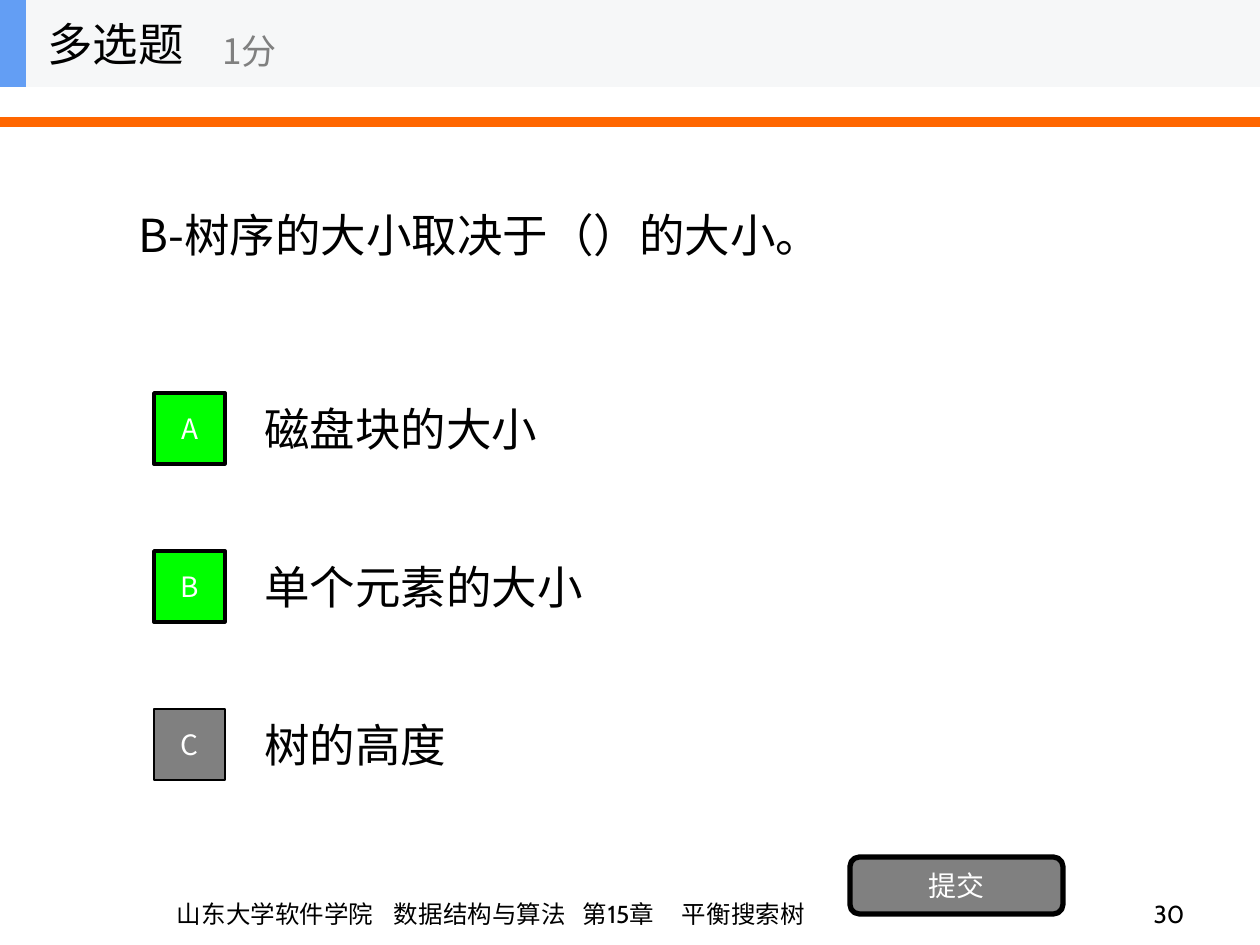
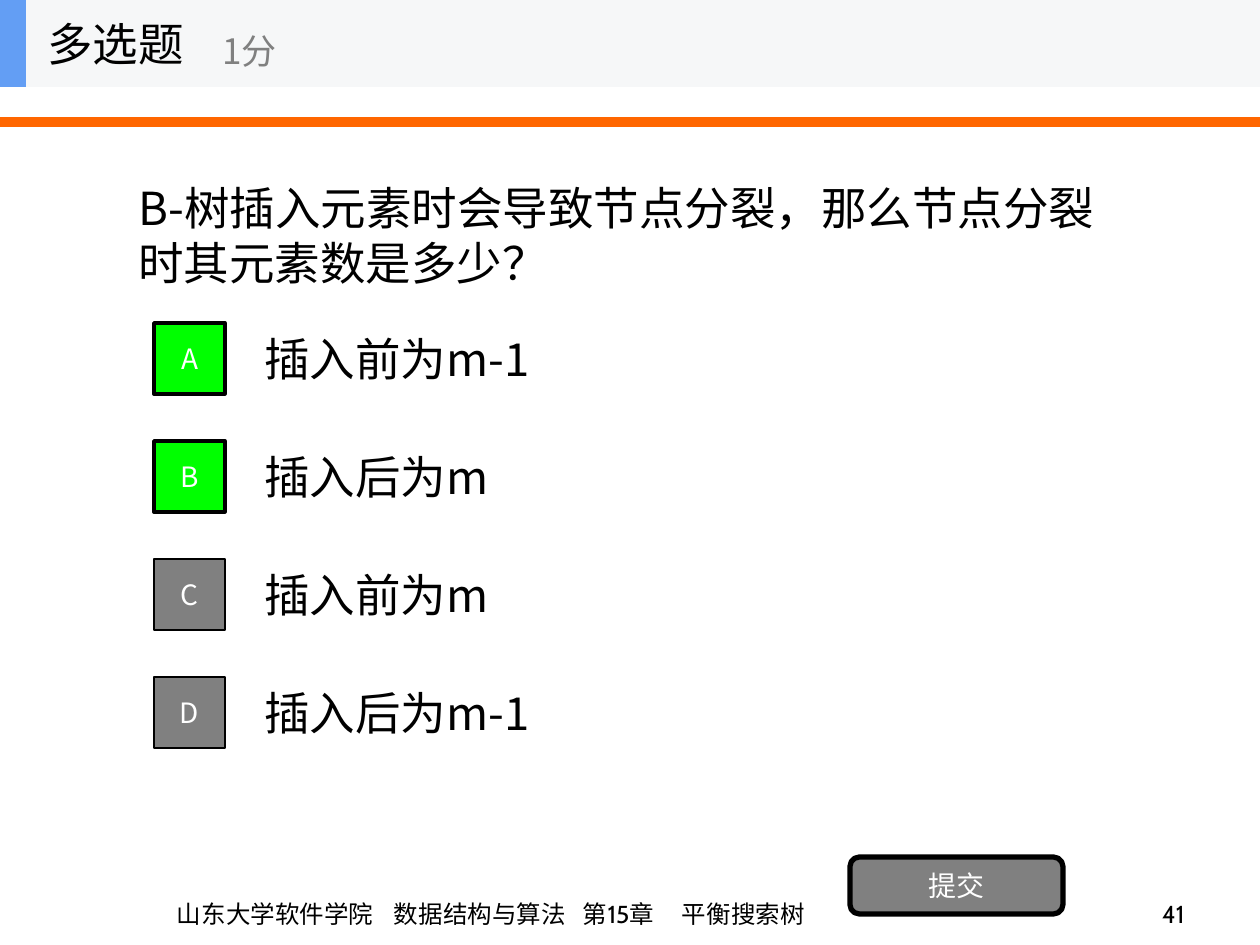
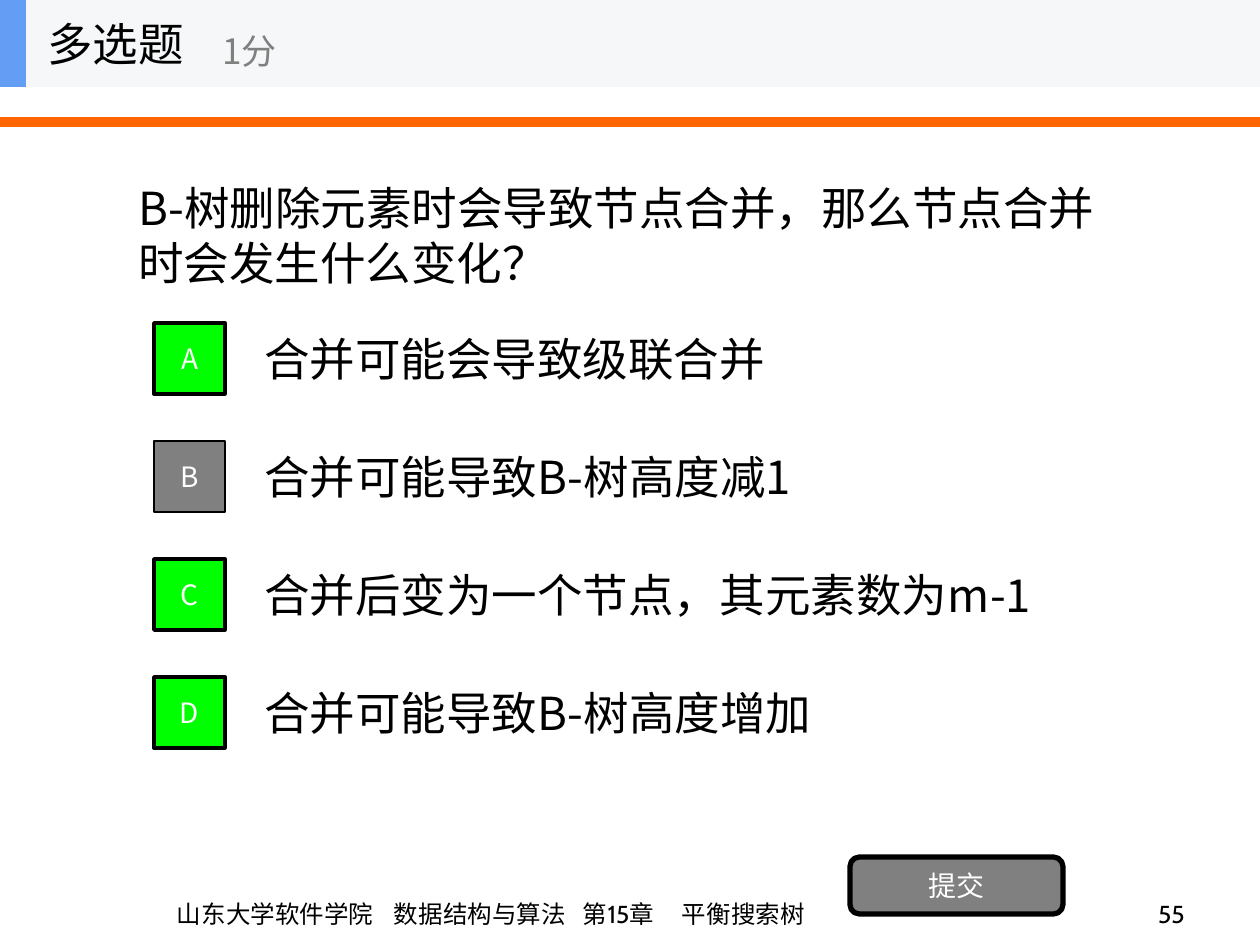
from pptx import Presentation
from pptx.dml.color import RGBColor
from pptx.enum.shapes import MSO_CONNECTOR, MSO_SHAPE
from pptx.enum.text import MSO_ANCHOR as ANCHOR, PP_ALIGN as ALIGN
from pptx.oxml.ns import qn
from pptx.util import Pt
from lxml.etree import SubElement

PX = 914400 / 126
WIDTH, HEIGHT = 1260, 945
COLORS = {
    "ink": "000000",
    "paper": "FFFFFF",
    "rule": "FF6600",
    "band": "F6F7F8",
    "accent": "639EF4",
    "right": "00FF00",
    "grey": "808080",
}
CJK, LATIN = "Noto Sans CJK SC", "Cabin"
FOOTER = "山东大学软件学院\t数据结构与算法\t第15章\t平衡搜索树"
FOOTER_TABS = (217, 406, 505)
OPTION_LEFT, OPTION_WIDTH, OPTION_HEIGHT = 252, 882, 88
KEY_LEFT, KEY_SIZE = 154, 71

QUESTIONS = [
    {
        "page": "30",
        "question": "B-树序的大小取决于（）的大小。",
        "options": ["磁盘块的大小", "单个元素的大小", "树的高度"],
        "answers": "AB",
        "top": 384,
        "step": 158,
    },
    {
        "page": "41",
        "question": "B-树插入元素时会导致节点分裂，那么节点分裂时其元素数是多少？",
        "options": ["插入前为m-1", "插入后为m", "插入前为m", "插入后为m-1"],
        "answers": "AB",
        "top": 314,
        "step": 118,
    },
    {
        "page": "55",
        "question": "B-树删除元素时会导致节点合并，那么节点合并时会发生什么变化？",
        "options": [
            "合并可能会导致级联合并",
            "合并可能导致B-树高度减1",
            "合并后变为一个节点，其元素数为m-1",
            "合并可能导致B-树高度增加",
        ],
        "answers": "ACD",
        "top": 314,
        "step": 118,
    },
]


def px(length):
    return round(length * PX)


def rgb(color):
    return RGBColor.from_string(COLORS[color])


def write(frame, text, size=26, color="ink", font=CJK, align=ALIGN.LEFT,
          anchor=ANCHOR.MIDDLE, tabs=()):
    frame.word_wrap = True
    frame.vertical_anchor = anchor
    paragraph = frame.paragraphs[0]
    paragraph.alignment = align
    if tabs:
        stops = SubElement(paragraph._p.get_or_add_pPr(), qn("a:tabLst"))
        for stop in tabs:
            SubElement(stops, qn("a:tab"), pos=str(px(stop)), algn="l")
    run = paragraph.add_run()
    run.text = text
    run.font.size = Pt(size)
    run.font.color.rgb = rgb(color)
    run.font.name = font
    SubElement(run._r.get_or_add_rPr(), qn("a:ea"), typeface=CJK)


def add_text(shapes, box, text, **style):
    frame = shapes.add_textbox(*map(px, box)).text_frame
    write(frame, text, **style)
    return frame


def add_block(shapes, box, fill, outline=0, kind=MSO_SHAPE.RECTANGLE):
    block = shapes.add_shape(kind, *map(px, box))
    block.shadow.inherit = False
    block.fill.solid()
    block.fill.fore_color.rgb = rgb(fill)
    if outline:
        block.line.color.rgb = rgb("ink")
        block.line.width = Pt(outline)
    else:
        block.line.fill.background()
    return block


def add_rule(shapes):
    rule = shapes.add_connector(MSO_CONNECTOR.STRAIGHT, 0, px(122), px(WIDTH), px(122))
    rule.line.color.rgb = rgb("rule")
    rule.line.width = Pt(6)
    SubElement(rule._element.spPr, qn("a:effectLst"))


def add_footer(shapes, page):
    chapter = add_text(shapes, (64, 872, 863, 63), FOOTER, size=14, font=LATIN,
                       anchor=ANCHOR.BOTTOM, tabs=FOOTER_TABS)
    chapter.margin_left = px(113)
    add_text(shapes, (935, 872, 262, 63), page, size=14, font=LATIN,
             align=ALIGN.RIGHT, anchor=ANCHOR.BOTTOM)


def add_header(shapes):
    header = shapes.add_group_shape().shapes
    add_block(header, (0, 0, WIDTH, 87), "band")
    add_block(header, (0, 0, 26, 87), "accent")
    add_text(header, (35, 0, 262, 87), "多选题")
    add_text(header, (210, 15, 315, 71), "1分", size=20, color="grey")


def add_option(shapes, top, letter, text, correct):
    add_text(shapes, (OPTION_LEFT, top, OPTION_WIDTH, OPTION_HEIGHT), text)
    key_top = top + (OPTION_HEIGHT - KEY_SIZE + 1) // 2
    key = add_block(shapes, (KEY_LEFT, key_top, KEY_SIZE, KEY_SIZE),
                    "right" if correct else "grey", outline=2 if correct else 1)
    write(key.text_frame, letter, size=16, color="paper", align=ALIGN.CENTER)


def add_submit(shapes):
    submit = add_block(shapes, (850, 857, 213, 57), "grey", outline=3,
                       kind=MSO_SHAPE.ROUNDED_RECTANGLE)
    write(submit.text_frame, "提交", size=16, color="paper", align=ALIGN.CENTER)


def add_question(deck, quiz):
    shapes = deck.slides.add_slide(deck.slide_layouts[6]).shapes
    add_rule(shapes)
    add_footer(shapes, quiz["page"])
    add_text(shapes, (126, 87, 1008, 295), quiz["question"])
    for row, (letter, option) in enumerate(zip("ABCD", quiz["options"])):
        add_option(shapes, quiz["top"] + row * quiz["step"], letter, option,
                   letter in quiz["answers"])
    add_submit(shapes)
    add_header(shapes)


def main():
    deck = Presentation()
    deck.slide_width, deck.slide_height = px(WIDTH), px(HEIGHT)
    for quiz in QUESTIONS:
        add_question(deck, quiz)
    deck.save("out.pptx")


if __name__ == "__main__":
    main()
